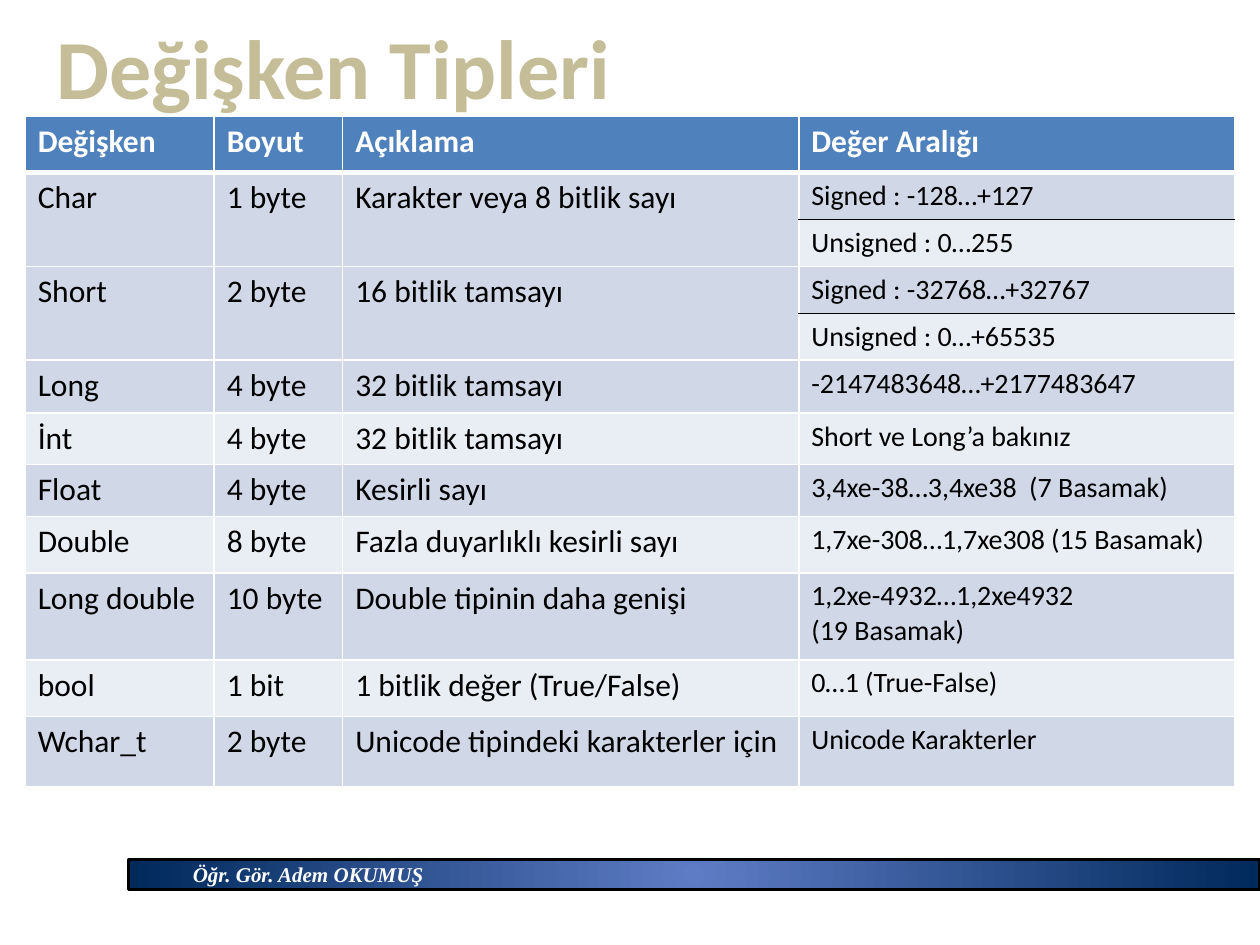
from dataclasses import dataclass

from lxml.etree import SubElement
from pptx import Presentation
from pptx.dml.color import RGBColor as Color
from pptx.enum.shapes import MSO_SHAPE as Preset
from pptx.enum.text import MSO_ANCHOR as Anchor, PP_ALIGN as Align
from pptx.oxml import parse_xml
from pptx.oxml.ns import nsdecls, qn
from pptx.util import Inches, Pt


@dataclass(frozen=True)
class Theme:
    font: str = "Calibri"
    footer_font: str = "Times New Roman"
    white: str = "FFFFFF"
    black: str = "000000"
    title: str = "C4BD97"
    header: str = "4F81BD"
    dark_band: str = "D0D8E8"
    light_band: str = "E9EDF4"
    footer_center: str = "5E7CC5"
    footer_edge: str = "00295C"
    title_size: int = 48
    body_size: int = 18
    range_size: int = 16
    footer_size: int = 12


THEME = Theme()
HEADINGS = ("Değişken", "Boyut", "Açıklama", "Değer Aralığı")
TYPES = (
    ("Char", "1 byte", "Karakter veya 8 bitlik sayı", ("Signed : -128…+127", "Unsigned : 0…255")),
    ("Short", "2 byte", "16 bitlik tamsayı", ("Signed : -32768…+32767", "Unsigned : 0…+65535")),
    ("Long", "4 byte", "32 bitlik tamsayı", ("-2147483648…+2177483647",)),
    ("İnt", "4 byte", "32 bitlik tamsayı", ("Short ve Long’a bakınız",)),
    ("Float", "4 byte", "Kesirli sayı", ("3,4xe-38…3,4xe38  (7 Basamak)",)),
    ("Double", "8 byte", "Fazla duyarlıklı kesirli sayı", ("1,7xe-308…1,7xe308 (15 Basamak)",)),
    ("Long double", "10 byte", "Double tipinin daha genişi", ("1,2xe-4932…1,2xe4932\n(19 Basamak)",)),
    ("bool", "1 bit", "1 bitlik değer (True/False)", ("0…1 (True-False)",)),
    ("Wchar_t", "2 byte", "Unicode tipindeki karakterler için", ("Unicode Karakterler",)),
)
COLUMN_WIDTHS = (1.5, 1.02, 3.62, 3.46)
ROW_HEIGHTS = (0.45, 0.37, 0.37, 0.37, 0.37, 0.42, 0.41, 0.41, 0.45, 0.69, 0.45, 0.56)


def write(text_frame, text, size, color, font=THEME.font, bold=False, italic=False):
    for index, line in enumerate(text.split("\n")):
        paragraph = text_frame.add_paragraph() if index else text_frame.paragraphs[0]
        paragraph.alignment = Align.LEFT
        run = paragraph.add_run()
        run.text = line
        run.font.name = font
        run.font.size = Pt(size)
        run.font.bold = bold
        run.font.italic = italic
        run.font.color.rgb = Color.from_string(color)


def set_borders(cell, top, bottom):
    properties = cell._tc.get_or_add_tcPr()
    side = (THEME.white, 1)
    borders = (("L", side), ("R", side), ("T", top), ("B", bottom))
    for index, (edge, (color, width)) in enumerate(borders):
        properties.insert(index, parse_xml(
            f'<a:ln{edge} {nsdecls("a")} w="{Pt(width)}"><a:solidFill>'
            f'<a:srgbClr val="{color}"/></a:solidFill></a:ln{edge}>'))


def add_title(slide, box):
    text_frame = slide.shapes.add_textbox(*box).text_frame
    text_frame.word_wrap = True
    text_frame.vertical_anchor = Anchor.MIDDLE
    write(text_frame, "Değişken Tipleri", THEME.title_size, THEME.title, bold=True)


def add_type_table(slide, box):
    table = slide.shapes.add_table(len(ROW_HEIGHTS), len(COLUMN_WIDTHS), *box).table
    for column, width in zip(table.columns, COLUMN_WIDTHS):
        column.width = Inches(width)
    for row, height in zip(table.rows, ROW_HEIGHTS):
        row.height = Inches(height)

    thin, thick, divider = (THEME.white, 1), (THEME.white, 3), (THEME.black, 1)
    range_column = len(HEADINGS) - 1

    def style_row(row, top, bottom, range_top, range_bottom, fill):
        for column in range(len(HEADINGS)):
            cell = table.cell(row, column)
            is_range = column == range_column
            set_borders(cell, range_top if is_range else top, range_bottom if is_range else bottom)
            cell.fill.solid()
            cell.fill.fore_color.rgb = Color.from_string(fill)

    style_row(0, thin, thick, thin, thick, THEME.header)
    for column, heading in enumerate(HEADINGS):
        write(table.cell(0, column).text_frame, heading, THEME.body_size, THEME.white, bold=True)

    row = 1
    for *details, ranges in TYPES:
        last = len(ranges) - 1
        for column, text in enumerate(details):
            cell = table.cell(row, column)
            if last:
                cell.merge(table.cell(row + last, column))
            write(cell.text_frame, text, THEME.body_size, THEME.black)
        for index, text in enumerate(ranges):
            top = thick if row == 1 else thin
            fill = THEME.dark_band if row % 2 else THEME.light_band
            style_row(row, top, thin, divider if index else top,
                      divider if index < last else thin, fill)
            write(table.cell(row, range_column).text_frame, text, THEME.range_size, THEME.black)
            row += 1


def add_footer(slide, box):
    bar = slide.shapes.add_shape(Preset.RECTANGLE, *box)
    bar.shadow.inherit = False
    bar.line.color.rgb = Color.from_string(THEME.black)
    bar.line.width = Pt(2)
    bar.fill.gradient()
    for stop, color in zip(bar.fill.gradient_stops, (THEME.footer_center, THEME.footer_edge)):
        stop.color.rgb = Color.from_string(color)
    gradient = bar._element.spPr.find(qn("a:gradFill"))
    gradient.remove(gradient.find(qn("a:lin")))
    radial = SubElement(gradient, qn("a:path"), {"path": "circle"})
    SubElement(radial, qn("a:fillToRect"), dict.fromkeys("ltrb", "50000"))
    text_frame = bar.text_frame
    text_frame.margin_left = Inches(0.51)
    text_frame.margin_top = text_frame.margin_bottom = 0
    text_frame.vertical_anchor = Anchor.MIDDLE
    write(text_frame, "Öğr. Gör. Adem OKUMUŞ", THEME.footer_size, THEME.white,
          THEME.footer_font, bold=True, italic=True)


def main():
    presentation = Presentation()
    presentation.slide_width = Inches(10)
    presentation.slide_height = Inches(7.5)
    slide = presentation.slides.add_slide(presentation.slide_layouts[6])
    add_footer(slide, (Inches(1.02), Inches(6.82), Inches(8.98), Inches(0.24)))
    add_type_table(slide, (Inches(0.2), Inches(0.92), Inches(9.6), Inches(5.32)))
    add_title(slide, (Inches(0.35), Inches(-0.1), Inches(9), Inches(1.25)))
    presentation.save("out.pptx")


if __name__ == "__main__":
    main()
